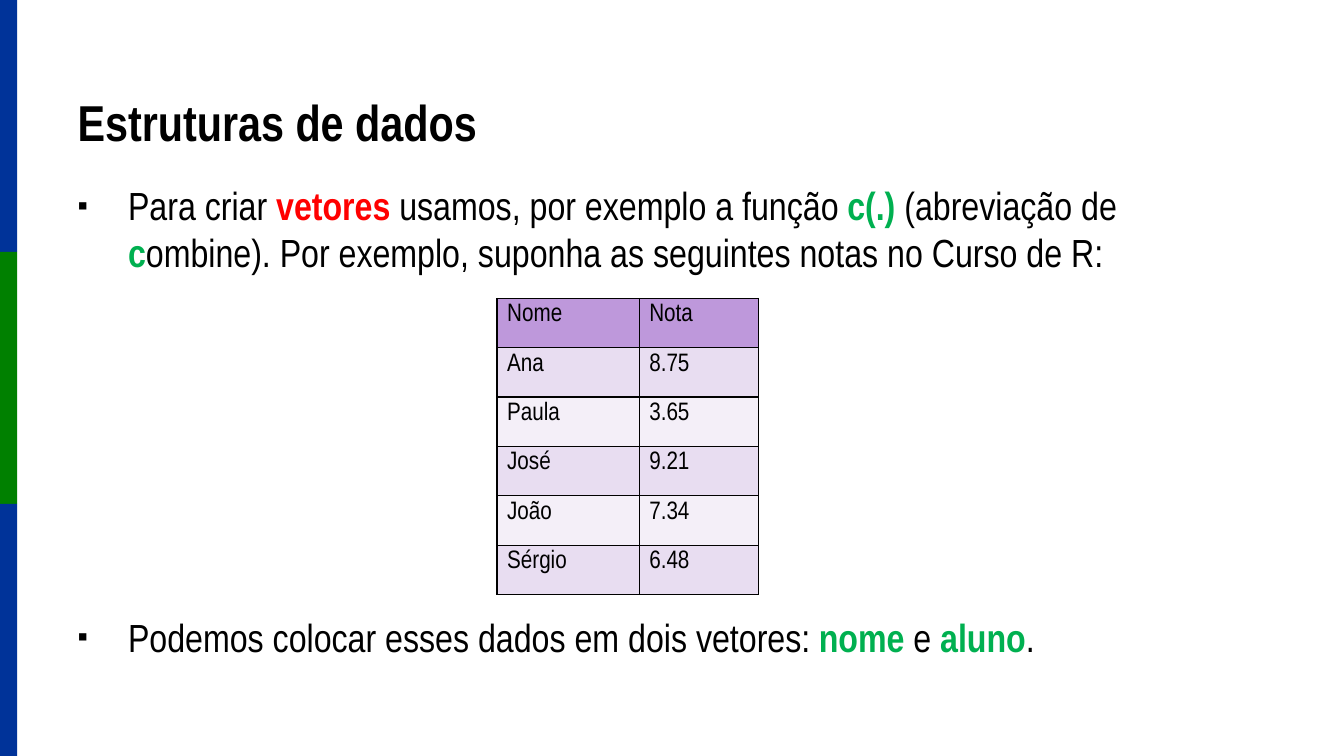
from lxml import etree
from pptx import Presentation
from pptx.dml.color import RGBColor
from pptx.enum.shapes import MSO_SHAPE
from pptx.enum.text import MSO_ANCHOR, MSO_AUTO_SIZE, PP_ALIGN
from pptx.oxml.ns import qn
from pptx.util import Inches, Pt

RECTANGLE = MSO_SHAPE.RECTANGLE
BOTTOM = MSO_ANCHOR.BOTTOM
NO_AUTOFIT = MSO_AUTO_SIZE.NONE
LEFT = PP_ALIGN.LEFT

BLACK = RGBColor(0x00, 0x00, 0x00)
RED = RGBColor(0xFF, 0x00, 0x00)
LIGHT_GREEN = RGBColor(0x00, 0xB0, 0x50)
BLUE = RGBColor(0x00, 0x33, 0x99)
GREEN = RGBColor(0x00, 0x80, 0x00)
HEADER_PURPLE = RGBColor(0xBE, 0x98, 0xDB)
ROW_PURPLES = (RGBColor(0xF4, 0xEF, 0xF8), RGBColor(0xE8, 0xDD, 0xF1))
FONT = "Arial Narrow"

TITLE = "Estruturas de dados"
# Each bullet is a list of (text, highlight colour or None).
BULLETS = [
    [("Para criar ", None), ("vetores ", RED),
     ("usamos, por exemplo a função ", None), ("c(.) ", LIGHT_GREEN),
     ("(abreviação de ", None), ("c", LIGHT_GREEN),
     ("ombine). Por exemplo, suponha as seguintes notas no Curso de R:", None)],
    [("Podemos colocar esses dados em dois vetores: ", None),
     ("nome", LIGHT_GREEN), (" e ", None), ("aluno", LIGHT_GREEN), (".", None)],
]
GRADES = [("Nome", "Nota"), ("Ana", "8.75"), ("Paula", "3.65"),
          ("José", "9.21"), ("João", "7.34"), ("Sérgio", "6.48")]

STRIPES = (BLUE, GREEN, BLUE)
STRIPE_WIDTH, STRIPE_HEIGHT = 0.17, 2.5
TITLE_BOX = (0.67, 0.3, 9.57, 1.25)
BODY_BOX = (0.67, 1.75, 12, 4.95)
TABLE_LEFT, TABLE_TOP = 4.93, 2.96
COLUMN_WIDTHS = (1.41, 1.18)
ROW_HEIGHT = 0.49
TABLE_GAP = Pt(241)  # room for the table between the two bullets


def place(placeholder, box):
    """Move a placeholder to a left, top, width, height box in inches."""
    for side, length in zip(("left", "top", "width", "height"), box):
        setattr(placeholder, side, Inches(length))
    placeholder.text_frame.auto_size = NO_AUTOFIT


def add_text(paragraph, text, size, color=BLACK, bold=False):
    """Append one formatted run to a paragraph."""
    run = paragraph.add_run()
    run.text = text
    run.font.color.rgb = color
    for name, value in {"name": FONT, "size": Pt(size), "bold": bold}.items():
        setattr(run.font, name, value)


def set_bullet(paragraph):
    """Give a paragraph a small black square and a hanging indent."""
    properties = paragraph._p.get_or_add_pPr()
    properties.set("marL", str(Inches(0.5)))
    properties.set("indent", str(-Inches(0.5)))
    color = etree.SubElement(properties, qn("a:buClr"))
    etree.SubElement(color, qn("a:srgbClr"), val=str(BLACK))
    etree.SubElement(properties, qn("a:buSzPct"), val="75000")
    etree.SubElement(properties, qn("a:buFont"), typeface="Arial")
    etree.SubElement(properties, qn("a:buChar"), char="▪")


def set_borders(cell):
    """Draw thin black lines on all sides of a cell, ahead of its fill."""
    properties = cell._tc.get_or_add_tcPr()
    for position, side in enumerate(("a:lnL", "a:lnR", "a:lnT", "a:lnB")):
        line = etree.Element(qn(side), w=str(Pt(1)))
        fill = etree.SubElement(line, qn("a:solidFill"))
        etree.SubElement(fill, qn("a:srgbClr"), val=str(BLACK))
        properties.insert(position, line)


def add_stripes(slide):
    """Stack the coloured stripes down the left edge."""
    for index, color in enumerate(STRIPES):
        stripe = slide.shapes.add_shape(
            RECTANGLE, 0, Inches(index * STRIPE_HEIGHT),
            Inches(STRIPE_WIDTH), Inches(STRIPE_HEIGHT))
        stripe.shadow.inherit = False
        stripe.fill.solid()
        stripe.fill.fore_color.rgb = color
        stripe.line.fill.background()


def add_title(slide):
    """Fill the title placeholder."""
    title = slide.shapes.title
    place(title, TITLE_BOX)
    title.text_frame.vertical_anchor = BOTTOM
    heading = title.text_frame.paragraphs[0]
    heading.alignment = LEFT
    add_text(heading, TITLE, 36, bold=True)


def add_bullets(slide):
    """Fill the body placeholder, leaving room for the table."""
    body = slide.placeholders[1]
    place(body, BODY_BOX)
    for index, pieces in enumerate(BULLETS):
        if index == 0:
            bullet = body.text_frame.paragraphs[0]
        else:
            bullet = body.text_frame.add_paragraph()
            bullet.space_before = TABLE_GAP
        set_bullet(bullet)
        for text, highlight in pieces:
            add_text(bullet, text, 28, highlight or BLACK, highlight is not None)


def add_grades(slide):
    """Add the table of names and grades."""
    table = slide.shapes.add_table(
        len(GRADES), len(COLUMN_WIDTHS), Inches(TABLE_LEFT), Inches(TABLE_TOP),
        Inches(sum(COLUMN_WIDTHS)), Inches(ROW_HEIGHT * len(GRADES))).table
    for column, width in zip(table.columns, COLUMN_WIDTHS):
        column.width = Inches(width)
    for row, values in enumerate(GRADES):
        for column, value in enumerate(values):
            cell = table.cell(row, column)
            cell.fill.solid()
            cell.fill.fore_color.rgb = ROW_PURPLES[row % 2] if row else HEADER_PURPLE
            set_borders(cell)
            add_text(cell.text_frame.paragraphs[0], value, 18)


presentation = Presentation()
presentation.slide_width = Inches(13.33)
presentation.slide_height = Inches(7.5)
slide = presentation.slides.add_slide(presentation.slide_layouts[1])
add_stripes(slide)
add_title(slide)
add_bullets(slide)
add_grades(slide)
presentation.save("out.pptx")
